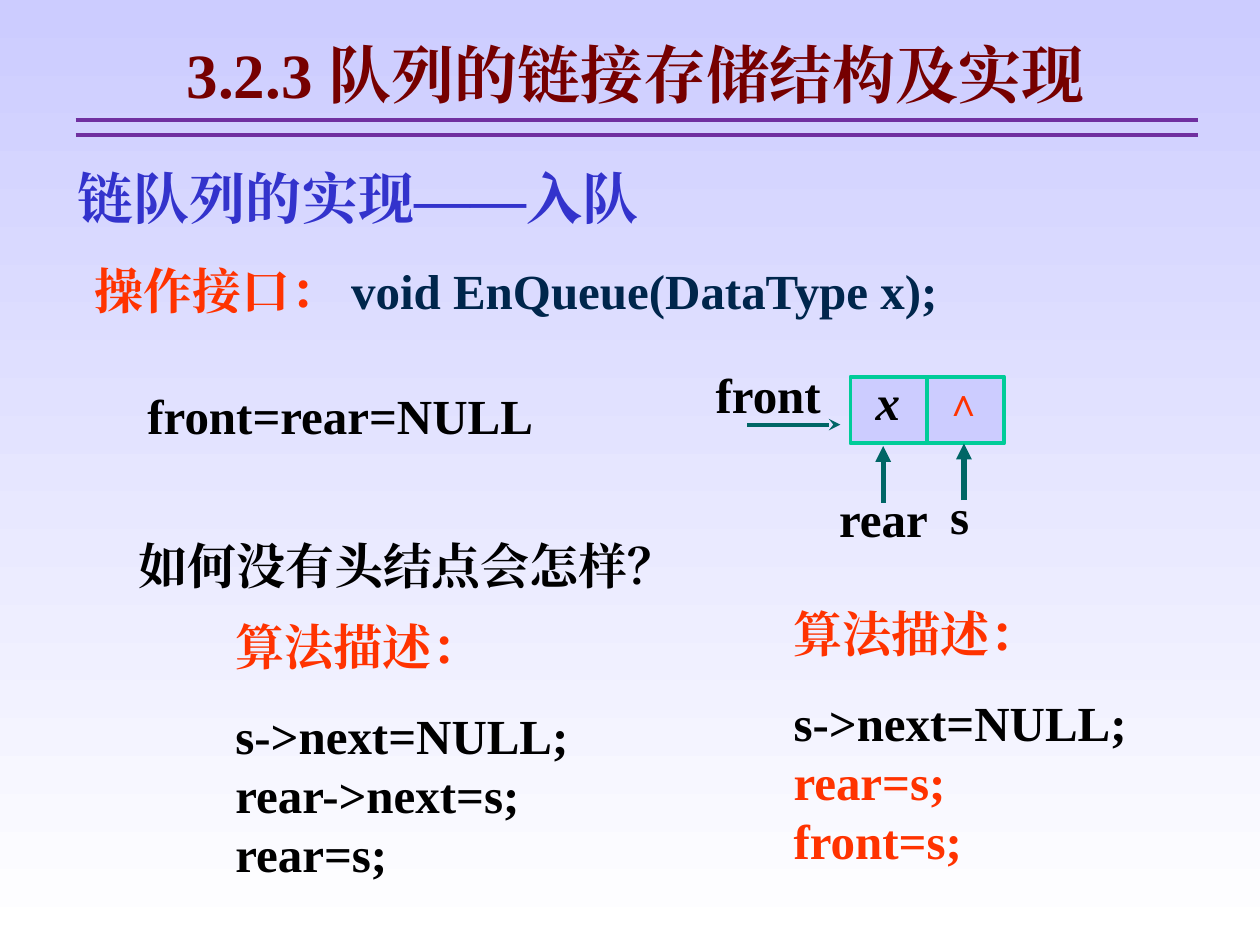
import dataclasses

import pptx
import pptx.dml.color
import pptx.enum.shapes
import pptx.enum.text
import pptx.oxml.ns
import pptx.util
from lxml import etree

Inches = pptx.util.Inches
Pt = pptx.util.Pt
ANCHOR = pptx.enum.text.MSO_ANCHOR
ALIGN = pptx.enum.text.PP_ALIGN
qn = pptx.oxml.ns.qn


@dataclasses.dataclass(frozen=True)
class Theme:
    font: str = "Times New Roman"
    sky: str = "CCCCFF"
    white: str = "FFFFFF"
    ink: str = "000000"
    maroon: str = "760000"
    purple: str = "7030A0"
    blue: str = "3333CC"
    red: str = "FF3300"
    navy: str = "00264C"
    green: str = "00CC99"
    teal: str = "006666"
    title: float = 36
    heading: float = 32
    body: float = 28
    mark: float = 22.2


THEME = Theme()
BOX_INSETS = (0.1, 0.05, 0.1, 0.05)
NO_INSETS = (0, 0, 0, 0)


def rgb(value):
    return pptx.dml.color.RGBColor.from_string(value)


def style_run(run, color, size, italic=False):
    run.font.name = THEME.font
    run.font.size = Pt(size)
    run.font.bold = True
    run.font.italic = italic
    run.font.color.rgb = rgb(color)
    east_asian = etree.Element(qn("a:ea"), typeface=THEME.font)
    run.font._element.find(qn("a:latin")).addnext(east_asian)


def set_frame(frame, insets, anchor):
    frame.word_wrap = True
    frame.vertical_anchor = anchor
    (frame.margin_left, frame.margin_top,
     frame.margin_right, frame.margin_bottom) = map(Inches, insets)


def add_text(slide, box, lines, size=THEME.body, insets=BOX_INSETS,
             anchor=ANCHOR.TOP, align=ALIGN.LEFT, spacing=1.0):
    frame = slide.shapes.add_textbox(*map(Inches, box)).text_frame
    set_frame(frame, insets, anchor)
    frame.text = "\n".join(text for text, color in lines)
    for paragraph, (text, color) in zip(frame.paragraphs, lines):
        paragraph.alignment = align
        paragraph.line_spacing = spacing
        style_run(paragraph.runs[0], color, size)
    return frame


def add_label(slide, box, text, spacing=1.0):
    add_text(slide, box, [(text, THEME.ink)], insets=NO_INSETS,
             anchor=ANCHOR.MIDDLE, spacing=spacing)


def add_line(slide, start, end, color, width, arrow=None):
    line = slide.shapes.add_connector(
        pptx.enum.shapes.MSO_CONNECTOR.STRAIGHT, *map(Inches, start + end))
    line.line.color.rgb = rgb(color)
    line.line.width = Pt(width)
    if arrow:
        etree.SubElement(line.line._get_or_add_ln(), qn("a:tailEnd"), type=arrow)
    etree.SubElement(line._element.spPr, qn("a:effectLst"))
    return line


def add_header(slide, left, top, width):
    add_text(slide, (left + 0.06, top, width - 0.14, 0.7),
             [("3.2.3 队列的链接存储结构及实现", THEME.maroon)],
             THEME.title, align=ALIGN.CENTER)
    for drop in (0.72, 0.84):
        add_line(slide, (left, top + drop), (left + width, top + drop),
                 THEME.purple, 2.25)


def add_interface(slide, left, top, width):
    add_text(slide, (left, top, 6.75, 0.64),
             [("链队列的实现——入队", THEME.blue)], THEME.heading)
    frame = add_text(slide, (left + 0.13, top + 0.77, width, 0.57),
                     [("操作接口： ", THEME.red)])
    signature = frame.paragraphs[0].add_run()
    signature.text = "void EnQueue(DataType x);"
    style_run(signature, THEME.navy, THEME.body)


def add_node(slide, left, top, width, height):
    node = slide.shapes.add_shape(pptx.enum.shapes.MSO_SHAPE.RECTANGLE,
                                  *map(Inches, (left, top, width, height)))
    node.shadow.inherit = False
    node.fill.solid()
    node.fill.fore_color.rgb = rgb(THEME.sky)
    node.line.color.rgb = rgb(THEME.green)
    node.line.width = Pt(2.25)
    set_frame(node.text_frame, (0.2, 0, 0, 0.08), ANCHOR.MIDDLE)
    node.text_frame.text = "x"
    data = node.text_frame.paragraphs[0]
    data.alignment = ALIGN.LEFT
    data.line_spacing = 0.9
    style_run(data.runs[0], THEME.ink, THEME.body, italic=True)

    middle = left + width / 2
    divider = add_line(slide, (middle, top), (middle, top + height),
                       THEME.green, 2.25)
    divider.begin_connect(node, 0)
    divider.end_connect(node, 2)
    add_text(slide, (middle + 0.04, top, 0.57, 0.49), [("∧", THEME.red)],
             THEME.mark, spacing=0.9)


def add_queue(slide, left, top):
    add_node(slide, left, top, 1.22, 0.53)
    add_label(slide, (left - 1.07, top - 0.12, 0.95, 0.51), "front")
    add_line(slide, (left - 0.82, top + 0.38), (left - 0.08, top + 0.38),
             THEME.teal, 2.25, "stealth")
    pointers = (("rear", -0.09, 0.85, 0.26, 1.0), ("s", 0.79, 0.24, 0.9, 0.98))
    for name, label_x, label_width, arrow_x, drop in pointers:
        add_label(slide, (left + label_x, top + drop, label_width, 0.35),
                  name, spacing=0.7)
        add_line(slide, (left + arrow_x, top + drop),
                 (left + arrow_x, top + drop - 0.45), THEME.teal, 3, "triangle")


def add_algorithm(slide, left, top, statements):
    frame = add_text(slide, (left, top, 3.57, 2.21),
                     [("算法描述：", THEME.red)] + statements)
    frame.paragraphs[1].space_before = Pt(17.5)


def main():
    deck = pptx.Presentation()
    deck.slide_width, deck.slide_height = Inches(10), Inches(7.5)
    slide = deck.slides.add_slide(deck.slide_layouts[6])
    backdrop = slide.background.fill
    backdrop.gradient()
    backdrop.gradient_angle = 270
    for stop, color in zip(backdrop.gradient_stops, (THEME.sky, THEME.white)):
        stop.color.rgb = rgb(color)

    add_header(slide, 0.6, 0.23, 8.91)
    add_interface(slide, 0.52, 1.25, 8.18)
    add_label(slide, (1.17, 3.04, 3.22, 0.51), "front=rear=NULL")
    add_queue(slide, 6.75, 2.99)
    add_text(slide, (1, 4.2, 5.09, 0.57),
             [("如何没有头结点会怎样？", THEME.ink)])
    add_algorithm(slide, 1.77, 4.84, [
        ("s->next=NULL;", THEME.ink),
        ("rear->next=s;", THEME.ink),
        ("rear=s;", THEME.ink),
    ])
    add_algorithm(slide, 6.2, 4.74, [
        ("s->next=NULL;", THEME.ink),
        ("rear=s;", THEME.red),
        ("front=s;", THEME.red),
    ])
    deck.save("out.pptx")


if __name__ == "__main__":
    main()
